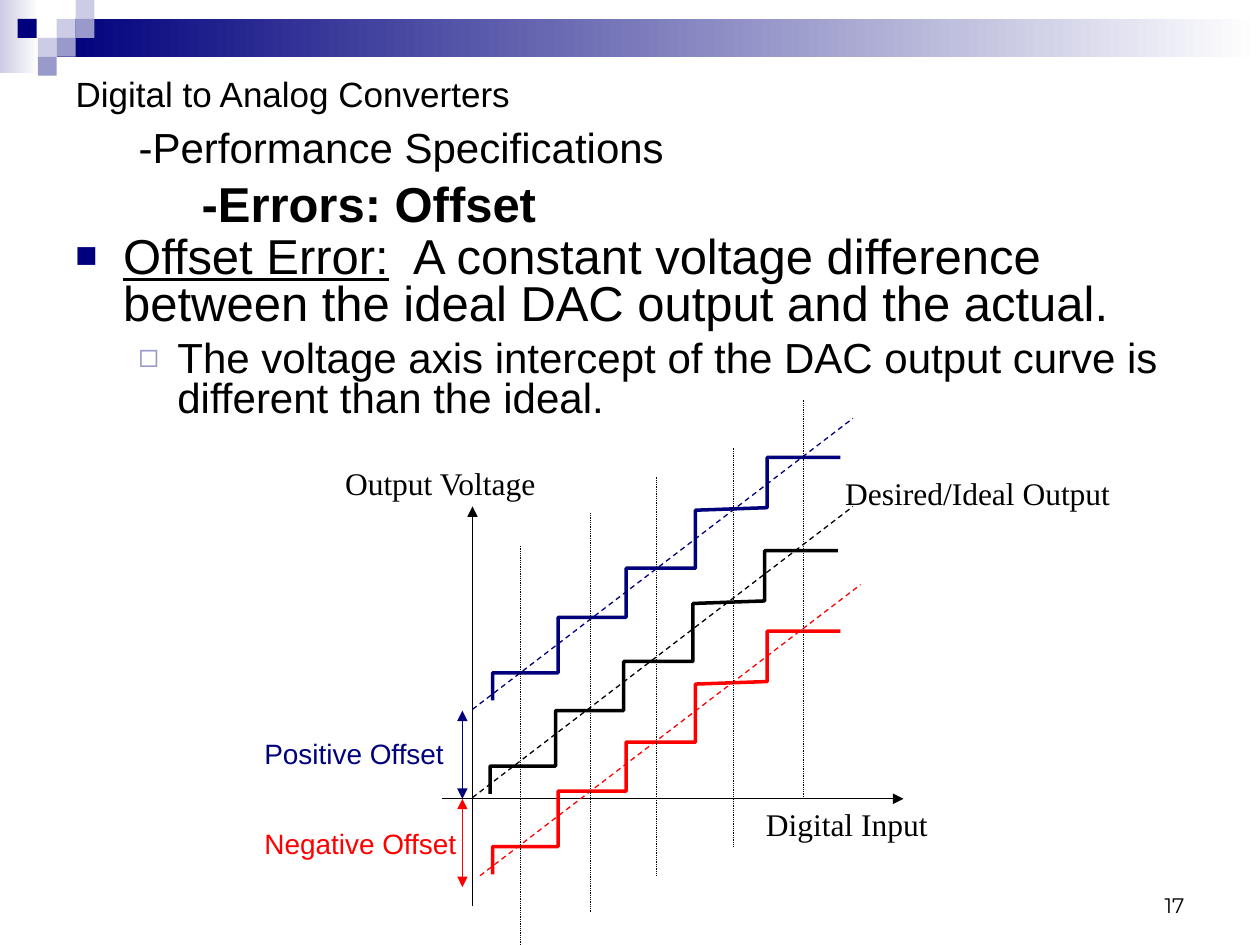
from lxml.etree import SubElement
from pptx import Presentation
from pptx.dml.color import RGBColor
from pptx.enum.dml import MSO_LINE
from pptx.enum.shapes import MSO_CONNECTOR, MSO_SHAPE
from pptx.enum.text import MSO_ANCHOR, MSO_AUTO_SIZE, PP_ALIGN
from pptx.oxml.ns import qn
from pptx.util import Pt

PX = 9144  # EMU per px, 100 px to the inch
BLACK = RGBColor(0x00, 0x00, 0x00)
WHITE = RGBColor(0xFF, 0xFF, 0xFF)
NAVY = RGBColor(0x00, 0x00, 0x7D)
RED = RGBColor(0xFF, 0x00, 0x00)
LILAC = RGBColor(0x99, 0x99, 0xCC)
PALE = RGBColor(0xCC, 0xCC, 0xE6)

# Ideal staircase and its diagonal; the two error curves are shifted copies
STEPS = [(389, 630), (389, 608), (441, 608), (441, 564), (495, 564), (495, 525),
         (550, 525), (550, 479), (607, 477), (607, 437), (665, 437)]
DIAGONAL = [(375, 633), (677, 402)]
# colour, shift of the staircase, shift of the diagonal
CURVES = [(BLACK, (0, 0), (0, 0)),
          (NAVY, (2, -74), (0, -70)),
          (RED, (2, 64), (6, 62))]
# x and top of each sampling line
SAMPLES = [(413, 433), (469, 407), (521, 378), (582, 355), (638, 317)]
SAMPLE_HEIGHT = 317


def px(*lengths):
    return [length * PX for length in lengths]


def shifted(points, shift):
    return [(x + shift[0], y + shift[1]) for x, y in points]


def style_font(font, size, color, name="Arial"):
    font.size = Pt(size)
    font.name = name
    font.color.rgb = color


def add_block(slide, place, color, fade_to=None):
    block = slide.shapes.add_shape(MSO_SHAPE.RECTANGLE, *px(*place))
    block.shadow.inherit = False
    block.line.fill.background()
    if fade_to is None:
        block.fill.solid()
        block.fill.fore_color.rgb = color
    else:
        block.fill.gradient()
        block.fill.gradient_angle = 0
        for stop, stop_color in zip(block.fill.gradient_stops, (color, fade_to)):
            stop.color.rgb = stop_color


def add_line(slide, start, end, color, width=0.75, dash=None, arrows=()):
    line = slide.shapes.add_connector(MSO_CONNECTOR.STRAIGHT, *px(*start, *end))
    line.line.color.rgb = color
    line.line.width = Pt(width)
    if dash is not None:
        line.line.dash_style = dash
    for arrow in arrows:
        SubElement(line.line._get_or_add_ln(), qn("a:" + arrow), type="triangle")
    SubElement(line._element.spPr, qn("a:effectLst"))


def add_staircase(slide, points, color):
    builder = slide.shapes.build_freeform(*points[0], scale=PX)
    builder.add_line_segments(points[1:], close=False)
    stairs = builder.convert_to_shape()
    stairs.shadow.inherit = False
    stairs.fill.background()
    stairs.line.color.rgb = color
    stairs.line.width = Pt(2)


def add_label(slide, place, text, size, color=BLACK, name="Times New Roman"):
    box = slide.shapes.add_textbox(*px(*place))
    box.text_frame.word_wrap = True
    box.text_frame.text = text
    para = box.text_frame.paragraphs[0]
    style_font(para.runs[0].font, size, color, name)
    return box


def set_bullet(para, char, color, percent, left, hanging):
    properties = para._p.get_or_add_pPr()
    properties.set("marL", str(left * PX))
    properties.set("indent", str(-hanging * PX))
    bullet_color = SubElement(properties, qn("a:buClr"))
    SubElement(bullet_color, qn("a:srgbClr"), val=str(color))
    SubElement(properties, qn("a:buSzPct"), val=str(percent * 1000))
    SubElement(properties, qn("a:buFont"), typeface="Arial")
    SubElement(properties, qn("a:buChar"), char=char)


def add_span(para, text, size, bold=False, underline=False):
    span = para.add_run()
    span.text = text
    style_font(span.font, size, BLACK)
    span.font.bold = bold
    span.font.underline = underline


def add_break(para, size):
    para.add_line_break()
    SubElement(para._p[-1], qn("a:rPr"), sz=str(size * 100))


def fill_title(slide):
    title = slide.shapes.title
    title.left, title.top, title.width, title.height = px(50, 67, 900, 108)
    frame = title.text_frame
    frame.auto_size = MSO_AUTO_SIZE.NONE
    frame.vertical_anchor = MSO_ANCHOR.MIDDLE
    para = frame.paragraphs[0]
    para.alignment = PP_ALIGN.LEFT
    add_span(para, "Digital to Analog Converters", 20)
    add_break(para, 20)
    add_span(para, "\t", 28)
    add_span(para, "-Performance Specifications", 24)
    add_break(para, 24)
    add_span(para, "\t\t", 24)
    add_span(para, "-Errors: Offset", 28, bold=True)


def add_body(slide):
    box = slide.shapes.add_textbox(*px(50, 183, 900, 167))
    frame = box.text_frame
    frame.word_wrap = True
    para = frame.paragraphs[0]
    para.line_spacing = 0.8
    set_bullet(para, "■", NAVY, 75, 38, 38)
    add_span(para, "Offset Error:", 28, underline=True)
    add_span(para, "  A constant voltage difference between the ideal DAC "
                   "output and the actual.", 28)
    para = frame.add_paragraph()
    para.level = 1
    para.line_spacing = 0.8
    para.space_before = Pt(6)
    set_bullet(para, "◻", LILAC, 80, 81, 31)
    add_span(para, "The voltage axis intercept of the DAC output curve is "
                   "different than the ideal.", 24)


def add_banner(slide):
    add_block(slide, (0, 0, 31, 58), PALE, fade_to=WHITE)
    add_block(slide, (45, 15, 955, 30), NAVY, fade_to=WHITE)
    for left, top, color in [(45, 15, PALE), (60, 0, PALE), (60, 15, LILAC),
                             (30, 30, PALE), (14, 15, NAVY), (45, 30, LILAC),
                             (30, 45, LILAC)]:
        add_block(slide, (left, top, 15, 15), color)


def add_diagram(slide):
    # Axes
    add_line(slide, (375, 719), (375, 402), BLACK, arrows=["tailEnd"])
    add_line(slide, (351, 634), (717, 634), BLACK, arrows=["tailEnd"])
    # Curves
    for color, stair_shift, diagonal_shift in CURVES:
        add_line(slide, *shifted(DIAGONAL, diagonal_shift), color, dash=MSO_LINE.DASH)
        add_staircase(slide, shifted(STEPS, stair_shift), color)
    # Sampling lines
    for x, top in SAMPLES:
        add_line(slide, (x, top + SAMPLE_HEIGHT), (x, top), BLACK, 0.5,
                 MSO_LINE.ROUND_DOT)
    # Offset arrows
    for end, color in [(564, NAVY), (704, RED)]:
        add_line(slide, (367, 634), (367, end), color, arrows=["headEnd", "tailEnd"])
    # Labels
    add_label(slide, (598, 634, 191, 40), "Digital Input", 18)
    add_label(slide, (661, 371, 239, 40), "Desired/Ideal Output", 18)
    add_label(slide, (264, 363, 175, 40), "Output Voltage", 18)
    add_label(slide, (200, 580, 223, 37), "Positive Offset", 16, NAVY, "Arial")
    add_label(slide, (200, 651, 191, 40), "Negative Offset", 16, RED, "Arial")


def main():
    deck = Presentation()
    deck.slide_width, deck.slide_height = px(1000, 750)
    slide = deck.slides.add_slide(deck.slide_layouts[5])
    add_banner(slide)
    fill_title(slide)
    add_body(slide)
    add_diagram(slide)
    # Page number
    number = add_label(slide, (717, 683, 233, 50), "17", 12, name="Montserrat")
    number.text_frame.vertical_anchor = MSO_ANCHOR.BOTTOM
    number.text_frame.paragraphs[0].alignment = PP_ALIGN.RIGHT
    deck.save("out.pptx")


if __name__ == "__main__":
    main()
